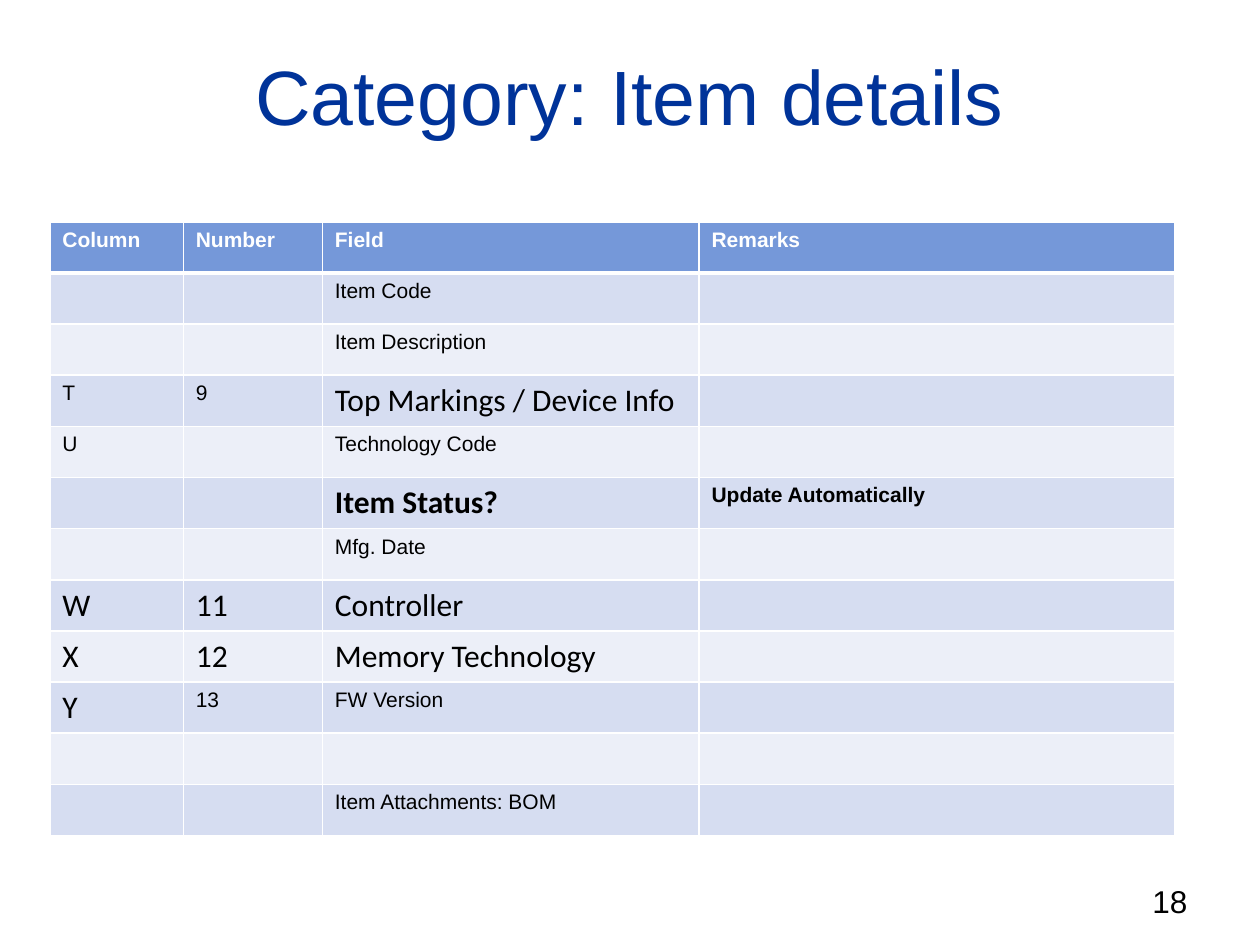
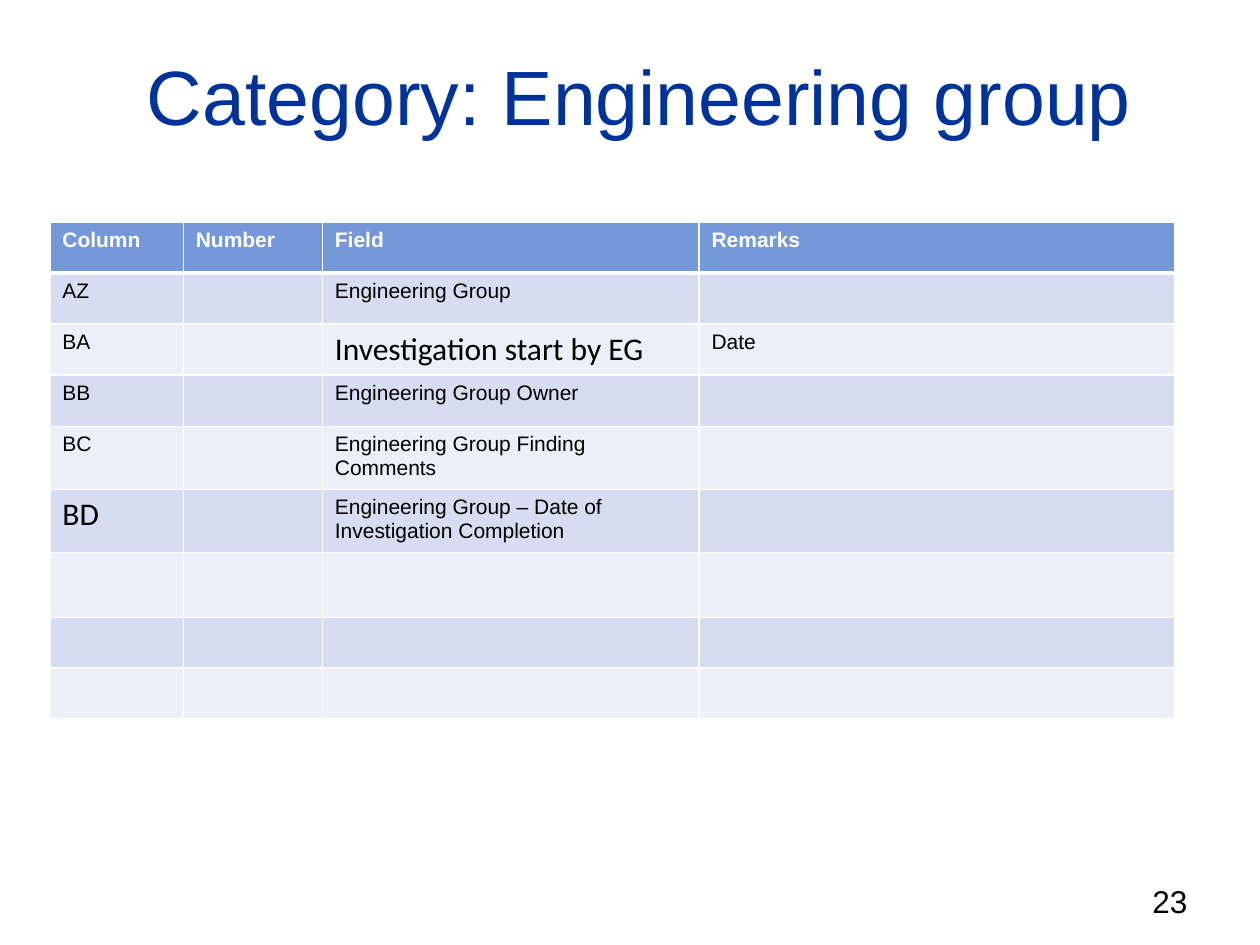
from dataclasses import dataclass, field
from typing import Any

from lxml.etree import SubElement
from pptx import Presentation
from pptx.dml.color import RGBColor
from pptx.enum.text import MSO_ANCHOR, PP_ALIGN
from pptx.oxml.ns import qn
from pptx.util import Pt

NAVY, BLACK, WHITE = "003399", "000000", "FFFFFF"
HEADER_FILL = "7598D9"
BANDS = ("D6DDF1", "ECEFF8")
ROW_HEIGHT = 29.25
COL_WIDTHS = (76.25, 79.5, 215.25, 272)
HEADINGS = ("Column", "Number ", "Field", "Remarks")
THIN, THICK = 1, 3


@dataclass(frozen=True)
class Style:
    size: float = 12
    name: str = "Arial"
    color: str = BLACK
    bold: bool = False


BODY = Style()
BODY_BOLD = Style(bold=True)
LARGE = Style(18, "Calibri")
LARGE_BOLD = Style(18, "Calibri", bold=True)
HEADING = Style(color=WHITE, bold=True)
TITLE = Style(44, color=NAVY)
NUMBER = Style(18)


@dataclass(frozen=True)
class Entry:
    text: str = ""
    style: Style = BODY


@dataclass(frozen=True)
class CategorySlide:
    title: str
    number: str
    rows: list[tuple[Entry, ...]]
    title_rtl: bool = False
    heights: dict[int, float] = field(default_factory=dict)


def rgb(value: str) -> RGBColor:
    return RGBColor.from_string(value)


def write(p: Any, text: str, style: Style) -> None:
    r = p.add_run()
    r.text = text
    formats = {"size": Pt(style.size), "name": style.name, "bold": style.bold}
    for key, value in formats.items():
        setattr(r.font, key, value)
    r.font.color.rgb = rgb(style.color)


def place(sp: Any, left: float, top: float, width: float, height: float) -> None:
    box = {"left": left, "top": top, "width": width, "height": height}
    for key, value in box.items():
        setattr(sp, key, Pt(value))


def add_title(s: Any, text: str, rtl: bool) -> None:
    sp = s.shapes.title
    place(sp, 36, 20, 648, 68.5)
    tf = sp.text_frame
    tf.vertical_anchor = MSO_ANCHOR.MIDDLE
    p = tf.paragraphs[0]
    p.alignment = PP_ALIGN.CENTER
    if rtl:
        p._p.get_or_add_pPr().set("rtl", "1")
    write(p, text, TITLE)


def add_number(s: Any, text: str) -> None:
    sp = s.shapes.add_textbox(Pt(517.5), Pt(500.5), Pt(168), Pt(29))
    tf = sp.text_frame
    tf.word_wrap = True
    p = tf.paragraphs[0]
    p.alignment = PP_ALIGN.RIGHT
    write(p, text, NUMBER)


def set_borders(cell: Any, top: float, bottom: float) -> None:
    tc_pr = cell._tc.get_or_add_tcPr()
    for side, width in {"L": THIN, "R": THIN, "T": top, "B": bottom}.items():
        ln = SubElement(tc_pr, qn(f"a:ln{side}"), w=str(Pt(width)))
        fill = SubElement(ln, qn("a:solidFill"))
        SubElement(fill, qn("a:srgbClr"), val=WHITE)


def add_table(s: Any, rows: list[tuple[Entry, ...]], heights: dict[int, float]) -> None:
    header = tuple(Entry(text, HEADING) for text in HEADINGS)
    grid = [header, *rows]
    row_heights = [heights.get(i, ROW_HEIGHT) for i in range(len(grid))]
    table = s.shapes.add_table(
        len(grid), len(COL_WIDTHS), Pt(28.5), Pt(126.75),
        Pt(sum(COL_WIDTHS)), Pt(sum(row_heights)),
    ).table
    for col, width in zip(table.columns, COL_WIDTHS):
        col.width = Pt(width)
    for i, (entries, height) in enumerate(zip(grid, row_heights)):
        table.rows[i].height = Pt(height)
        fill = BANDS[(i - 1) % 2] if i else HEADER_FILL
        for j in range(len(COL_WIDTHS)):
            cell = table.cell(i, j)
            set_borders(cell, THICK if i == 1 else THIN, THICK if i == 0 else THIN)
            cell.fill.solid()
            cell.fill.fore_color.rgb = rgb(fill)
            if j < len(entries) and entries[j].text:
                write(cell.text_frame.paragraphs[0], entries[j].text, entries[j].style)


def add_slide(prs: Any, page: CategorySlide) -> None:
    s = prs.slides.add_slide(prs.slide_layouts.get_by_name("Title Only"))
    add_title(s, page.title, page.title_rtl)
    add_number(s, page.number)
    add_table(s, page.rows, page.heights)


NONE = Entry()
PAGES = [
    CategorySlide("Category: Item details", "18", [
        (NONE, NONE, Entry("Item Code")),
        (NONE, NONE, Entry("Item Description")),
        (Entry("T"), Entry("9"), Entry("Top Markings / Device Info", LARGE)),
        (Entry("U"), NONE, Entry("Technology Code")),
        (NONE, NONE, Entry("Item Status?", LARGE_BOLD),
         Entry("Update Automatically", BODY_BOLD)),
        (NONE, NONE, Entry("Mfg. Date")),
        (Entry("W", LARGE), Entry("11", LARGE), Entry("Controller", LARGE)),
        (Entry("X", LARGE), Entry("12", LARGE), Entry("Memory Technology", LARGE)),
        (Entry("Y", LARGE), Entry("13"), Entry("FW Version")),
        (),
        (NONE, NONE, Entry("Item Attachments: BOM")),
    ]),
    CategorySlide("Category: Engineering group ", "23", [
        (Entry("AZ"), NONE, Entry("Engineering Group")),
        (Entry("BA"), NONE, Entry("Investigation start by EG", LARGE), Entry("Date ")),
        (Entry("BB"), NONE, Entry("Engineering Group Owner")),
        (Entry("BC"), NONE, Entry("Engineering Group Finding Comments")),
        (Entry("BD", LARGE), NONE,
         Entry("Engineering Group – Date of Investigation Completion")),
        (),
        (),
        (),
    ], title_rtl=True, heights={6: 37.25, 7: 28.25}),
]

prs = Presentation()
prs.slide_width, prs.slide_height = Pt(720), Pt(540)
for page in PAGES:
    add_slide(prs, page)
prs.save("out.pptx")
